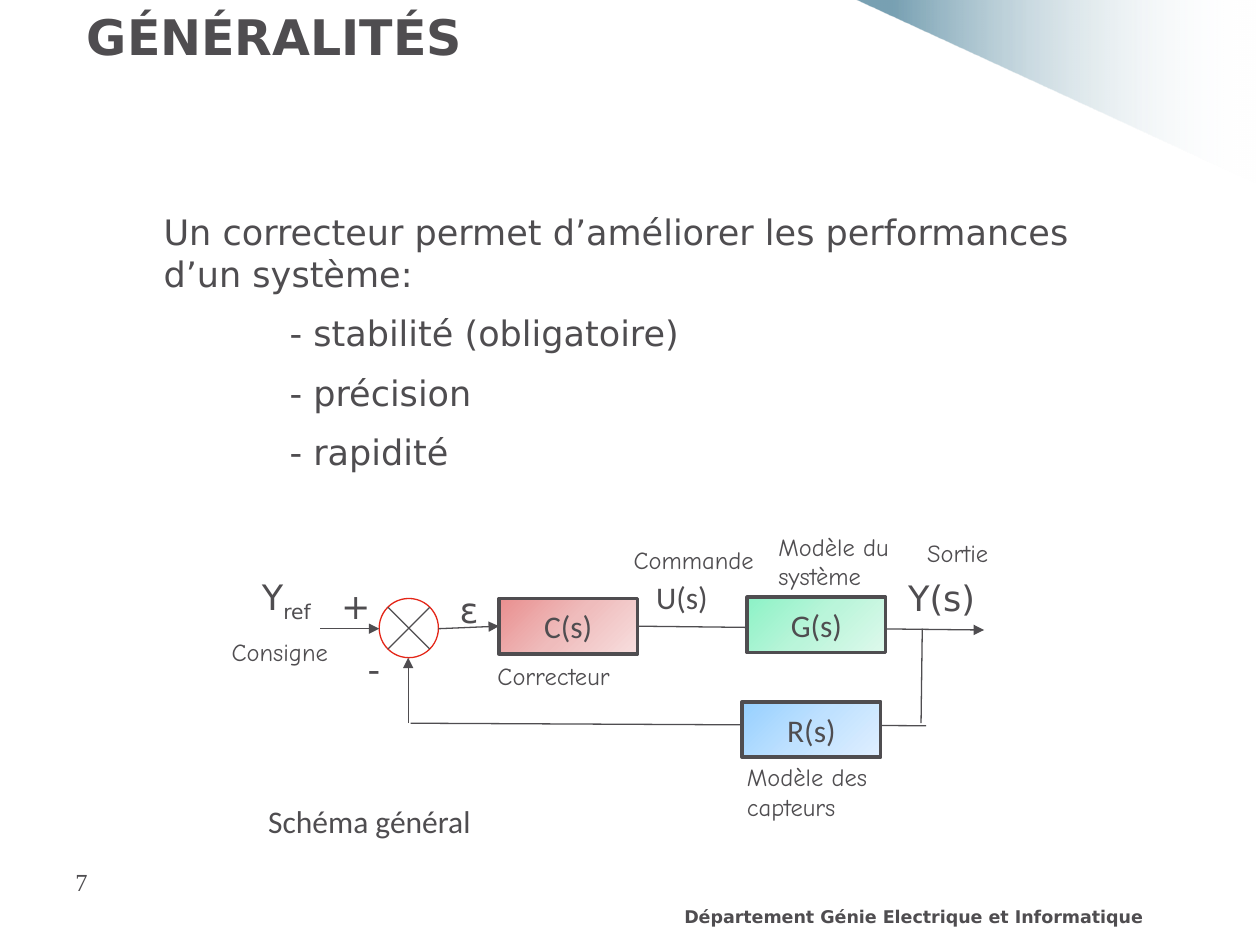
from lxml import etree
from pptx import Presentation
from pptx.dml.color import RGBColor
from pptx.enum.shapes import MSO_CONNECTOR as Conn, MSO_SHAPE as Shp
from pptx.enum.text import MSO_ANCHOR as Anchor, PP_ALIGN as Align
from pptx.oxml.ns import qn
from pptx.util import Inches, Pt

INK = RGBColor(0x4F, 0x4D, 0x50)
RED = RGBColor(0xE4, 0x26, 0x18)
TEAL = RGBColor(0x00, 0x4D, 0x6F)
WHITE = RGBColor(0xFF, 0xFF, 0xFF)
ROSE = [RGBColor(0xE9, 0x8F, 0x8F), RGBColor(0xEF, 0xBC, 0xBC), RGBColor(0xF7, 0xDE, 0xDE)]
MINT = [RGBColor(0x8C, 0xF2, 0xC6), RGBColor(0xBA, 0xF5, 0xDA), RGBColor(0xDE, 0xF9, 0xEC)]
BLUE = [RGBColor(0x96, 0xD0, 0xFF), RGBColor(0xBF, 0xE1, 0xFF), RGBColor(0xE0, 0xEF, 0xFF)]
SANS, BODY, HAND, SERIF = "DejaVu Sans", "Calibri", "Comic Neue", "Times New Roman"


def add_run(par, text, size, font, bold=False):
    run = par.add_run()
    run.text = text
    run.font.size = Pt(size)
    run.font.name = font
    run.font.bold = bold
    run.font.color.rgb = INK
    return run


def blend(shape, stops, angle):
    """Fill with a linear gradient; each stop is (percent, colour, opacity)."""
    shape.fill.gradient()
    shape.fill.gradient_angle = angle
    node = shape.fill._xPr.find(".//" + qn("a:gsLst"))
    for old in list(node):
        node.remove(old)
    for pos, color, alpha in stops:
        stop = etree.SubElement(node, qn("a:gs"), pos=str(pos * 1000))
        tint = etree.SubElement(stop, qn("a:srgbClr"), val=str(color))
        if alpha < 100:
            etree.SubElement(tint, qn("a:alpha"), val=str(alpha * 1000))


prs = Presentation()
prs.slide_width, prs.slide_height = Inches(10), Inches(7.5)
slide = prs.slides.add_slide(prs.slide_layouts[5])
shapes = slide.shapes

# Corner wedge
pen = shapes.build_freeform(Inches(10), Inches(1.47))
pen.add_line_segments([(Inches(6.79), 0), (Inches(10), 0)])
wedge = pen.convert_to_shape()
wedge.shadow.inherit = False
wedge.line.fill.background()
blend(wedge, [(9, TEAL, 53), (99, WHITE, 0)], 0)

# Title
title = shapes.title
title.left, title.top = Inches(0.59), Inches(0)
title.width, title.height = Inches(8.5), Inches(1.25)
title.text_frame.vertical_anchor = Anchor.TOP
head = title.text_frame.paragraphs[0]
head.alignment = Align.LEFT
add_run(head, "GÉNÉRALITÉS", 28, SANS, True)

# Main text
frame = shapes.add_textbox(Inches(0.82), Inches(1.62), Inches(8.35), Inches(3.8)).text_frame
frame.word_wrap = True
points = [
    ("Un correcteur permet d’améliorer les performances d’un système:", 0.38),
    ("- stabilité (obligatoire)", 1.38),
    ("- précision", 1.38),
    ("- rapidité", 1.38),
]
for i, (text, indent) in enumerate(points):
    par = frame.add_paragraph() if i else frame.paragraphs[0]
    par.space_after = Pt(10)
    par._p.get_or_add_pPr().set("marL", str(Inches(indent)))
    add_run(par, text, 20, SANS)

# Summing point
node = shapes.add_shape(Shp.OVAL, Inches(3.01), Inches(4.75), Inches(0.47), Inches(0.47))
node.shadow.inherit = False
node.fill.background()
node.line.color.rgb = RED
node.line.width = Pt(0.75)

# Signal lines: start, end, arrowhead
routes = {
    "cross down": (3.08, 4.82, 3.41, 5.15, False),
    "cross up": (3.08, 5.15, 3.41, 4.82, False),
    "input": (2.54, 4.99, 3.01, 4.99, True),
    "return": (3.24, 5.74, 3.24, 5.22, True),
    "error": (3.48, 4.99, 3.96, 4.97, True),
    "output": (5.06, 4.97, 7.81, 5, True),
    "branch": (7.32, 4.99, 7.31, 5.74, False),
    "feedback": (3.26, 5.74, 7.35, 5.76, False),
}
wires = {}
for name, (x1, y1, x2, y2, arrow) in routes.items():
    wire = shapes.add_connector(Conn.STRAIGHT, Inches(x1), Inches(y1), Inches(x2), Inches(y2))
    wire.line.color.rgb = INK
    wire.line.width = Pt(0.75)
    if arrow:
        etree.SubElement(wire.line._get_or_add_ln(), qn("a:tailEnd"), type="triangle")
    etree.SubElement(wire._element.spPr, qn("a:effectLst"))
    wires[name] = wire

# Transfer blocks
blocks = {}
for text, x, y, colors in [
    ("C(s)", 3.96, 4.75, ROSE),
    ("G(s)", 5.93, 4.74, MINT),
    ("R(s)", 5.89, 5.57, BLUE),
]:
    block = shapes.add_shape(Shp.RECTANGLE, Inches(x), Inches(y), Inches(1.1), Inches(0.44))
    block.shadow.inherit = False
    blend(block, [(50 * i, color, 100) for i, color in enumerate(colors)], 315)
    block.line.color.rgb = INK
    block.line.width = Pt(2)
    par = block.text_frame.paragraphs[0]
    par.alignment = Align.CENTER
    add_run(par, text, 18, BODY)
    blocks[text] = block
wires["error"].end_connect(blocks["C(s)"], 1)
wires["output"].begin_connect(blocks["C(s)"], 3)

# Labels, footer and page number
labels = [
    ("+", 2.61, 4.59, 0.39, 0.44, 20, SANS),
    ("-", 2.82, 5.09, 0.39, 0.44, 20, SANS),
    ("Y", 1.98, 4.52, 0.63, 0.44, 20, SANS),
    ("ε", 3.55, 4.62, 0.63, 0.44, 20, SANS),
    ("Y(s)", 7.11, 4.53, 1.06, 0.44, 20, SANS),
    ("U(s)", 5.11, 4.54, 1, 0.44, 18, BODY),
    ("Schéma général", 2.03, 6.32, 3.28, 0.44, 18, BODY),
    ("Modèle du système", 6.08, 4.17, 1.44, 0.57, 14, HAND),
    ("Correcteur", 3.85, 5.2, 1.44, 0.34, 14, HAND),
    ("Consigne", 1.74, 5.01, 1.44, 0.34, 14, HAND),
    ("Commande", 4.93, 4.28, 1.44, 0.34, 14, HAND),
    ("Sortie", 7.26, 4.22, 1.44, 0.34, 14, HAND),
    ("Modèle des capteurs", 5.83, 6, 1.44, 0.57, 14, HAND),
    ("7", 0.5, 6.83, 2.08, 0.5, 14, SERIF),
    ("Département Génie Electrique et Informatique", 4.5, 7.14, 5.5, 0.24, 10, SANS),
]
for text, x, y, w, h, size, font in labels:
    box = shapes.add_textbox(Inches(x), Inches(y), Inches(w), Inches(h))
    box.text_frame.word_wrap = True
    par = box.text_frame.paragraphs[0]
    footer = size == 10
    if footer:
        par.alignment = Align.CENTER
    add_run(par, text, size, font, footer)
    if text == "Y":
        sub = add_run(par, "ref", size, font)
        sub.font._element.set("baseline", "-25000")

prs.save("out.pptx")
